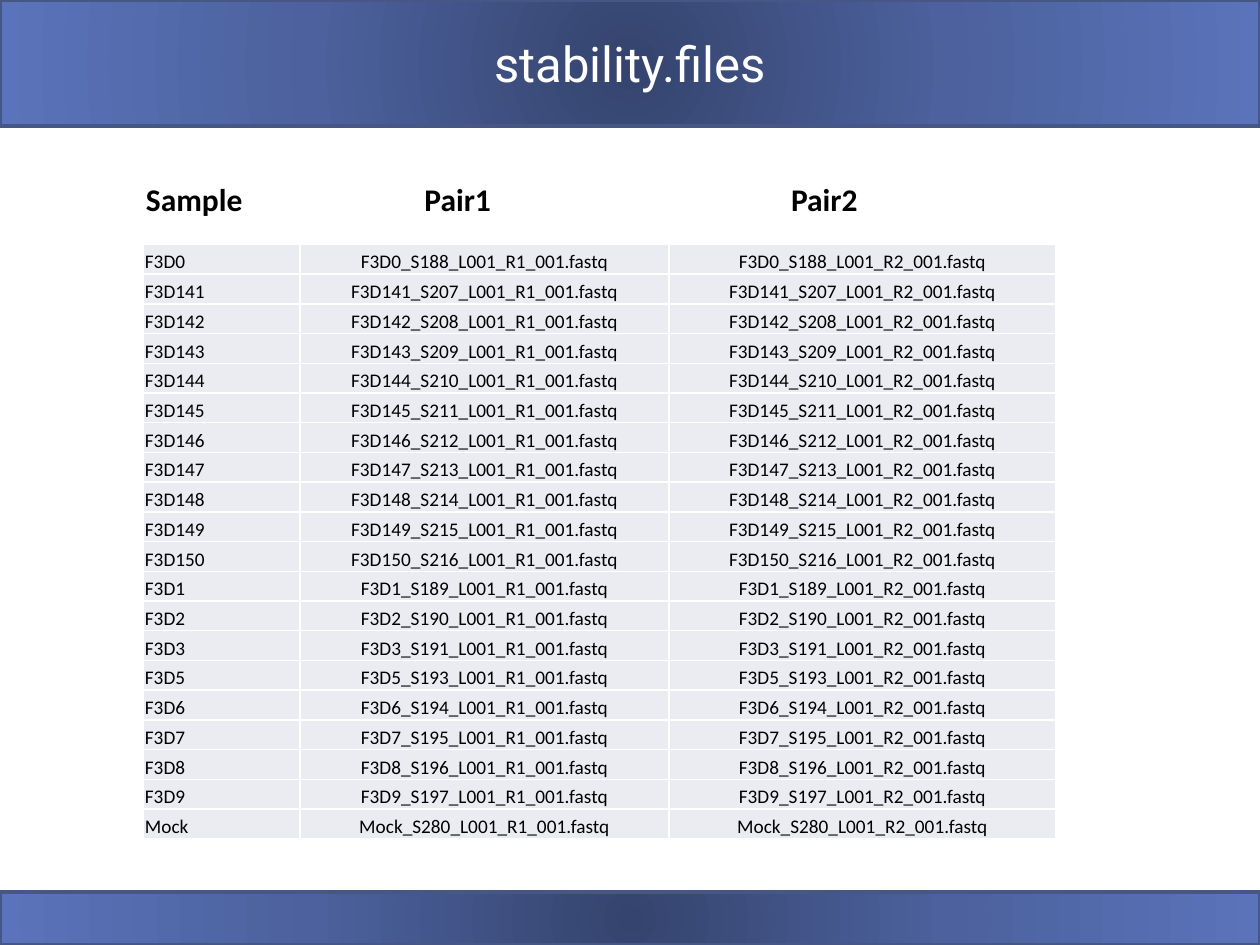
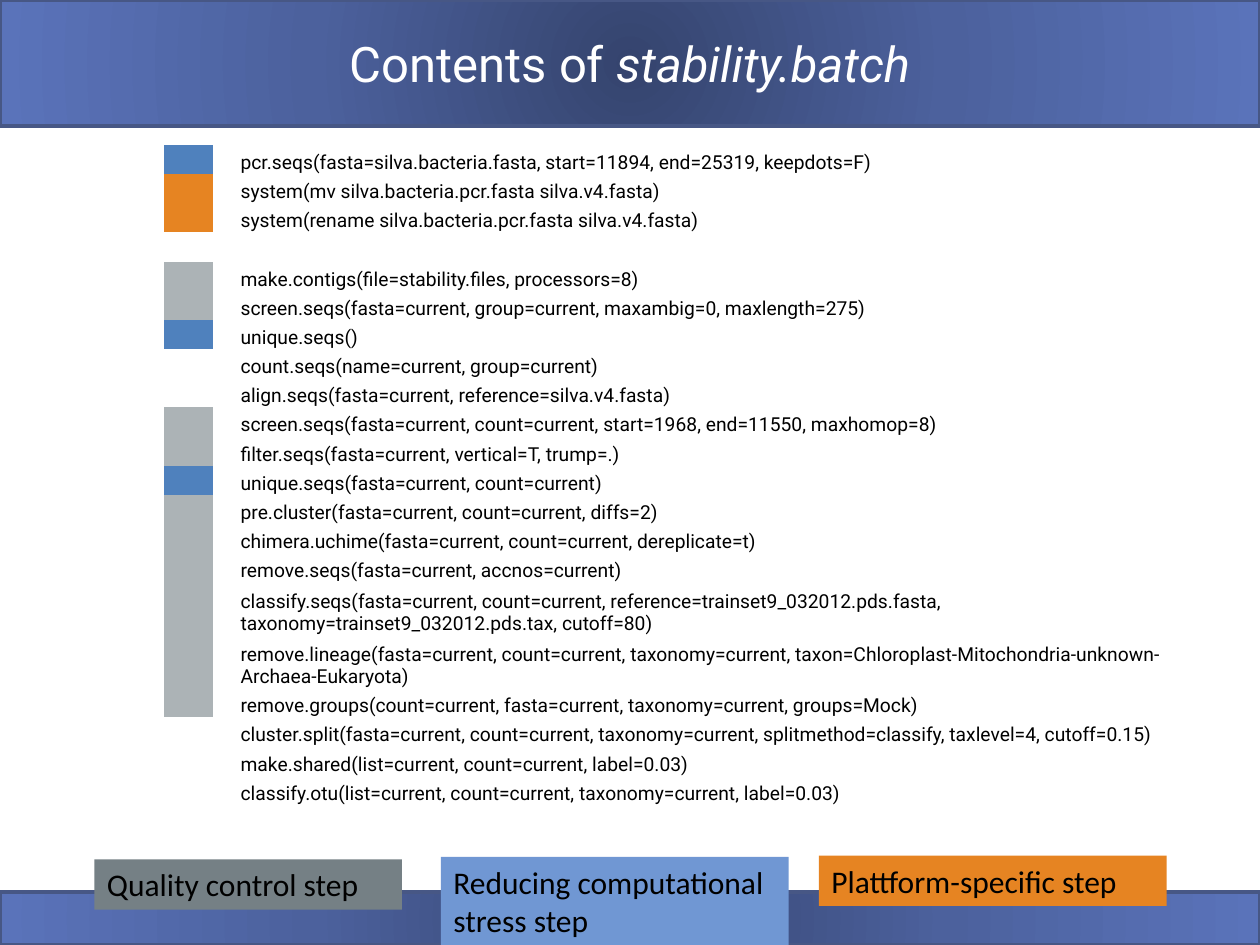
from lxml import etree
from pptx import Presentation
from pptx.dml.color import RGBColor
from pptx.enum.shapes import MSO_SHAPE
from pptx.enum.text import MSO_ANCHOR, MSO_AUTO_SIZE, PP_ALIGN
from pptx.oxml.ns import qn
from pptx.util import Inches, Pt

RECT = MSO_SHAPE.RECTANGLE
LEFT, CENTER = PP_ALIGN.LEFT, PP_ALIGN.CENTER
TOP, MIDDLE, BOTTOM = MSO_ANCHOR.TOP, MSO_ANCHOR.MIDDLE, MSO_ANCHOR.BOTTOM
GROW = MSO_AUTO_SIZE.SHAPE_TO_FIT_TEXT

COLUMNS, ROWS = 100, 75
UNIT = Inches(0.1)
PLAIN_TABLE = "{2D5ABB26-0587-4C30-8999-92F81FD0307C}"

WHITE, BLACK, PALE = "FFFFFF", "000000", "EAECF2"
BAND_STOPS = ((0, "35446E"), (50, "4C619D"), (100, "5A73BA"))
BAND_LINE = "475785"
BLUE, ORANGE, GRAY = "4F81BD", "E68422", "ACB3B6"
TITLE = {"size": Pt(28), "name": "Roboto"}
HEADING = {"size": Pt(18), "name": "Calibri", "bold": True}
LEGEND = {"size": Pt(18), "name": "Calibri"}
FILE_CELL = {"size": Pt(11), "name": "Calibri"}
COMMAND_CELL = {"size": Pt(11), "name": "Roboto"}

HEADINGS = (("Sample", -0.8), ("Pair1", 21.3), ("Pair2", 50.4))
LIBRARIES = (
    "F3D0_S188 F3D141_S207 F3D142_S208 F3D143_S209 F3D144_S210 "
    "F3D145_S211 F3D146_S212 F3D147_S213 F3D148_S214 F3D149_S215 "
    "F3D150_S216 F3D1_S189 F3D2_S190 F3D3_S191 F3D5_S193 F3D6_S194 "
    "F3D7_S195 F3D8_S196 F3D9_S197 Mock_S280"
).split()
COMMANDS = (
    (BLUE, "pcr.seqs(fasta=silva.bacteria.fasta, start=11894, end=25319, keepdots=F)"),
    (ORANGE, "system(mv silva.bacteria.pcr.fasta silva.v4.fasta)"),
    (ORANGE, "system(rename silva.bacteria.pcr.fasta silva.v4.fasta)"),
    (None, ""),
    (GRAY, "make.contigs(file=stability.files, processors=8)"),
    (GRAY, "screen.seqs(fasta=current, group=current, maxambig=0, maxlength=275)"),
    (BLUE, "unique.seqs()"),
    (None, "count.seqs(name=current, group=current)"),
    (None, "align.seqs(fasta=current, reference=silva.v4.fasta)"),
    (GRAY, "screen.seqs(fasta=current, count=current, start=1968, end=11550, maxhomop=8)"),
    (GRAY, "filter.seqs(fasta=current, vertical=T, trump=.)"),
    (BLUE, "unique.seqs(fasta=current, count=current)"),
    (GRAY, "pre.cluster(fasta=current, count=current, diffs=2)"),
    (GRAY, "chimera.uchime(fasta=current, count=current, dereplicate=t)"),
    (GRAY, "remove.seqs(fasta=current, accnos=current)"),
    (GRAY, "classify.seqs(fasta=current, count=current, reference=trainset9_032012.pds.fasta, "
           "taxonomy=trainset9_032012.pds.tax, cutoff=80)"),
    (GRAY, "remove.lineage(fasta=current, count=current, taxonomy=current, "
           "taxon=Chloroplast-Mitochondria-unknown-Archaea-Eukaryota)"),
    (GRAY, "remove.groups(count=current, fasta=current, taxonomy=current, groups=Mock)"),
    (None, "cluster.split(fasta=current, count=current, taxonomy=current, "
           "splitmethod=classify, taxlevel=4, cutoff=0.15)"),
    (None, "make.shared(list=current, count=current, label=0.03)"),
    (None, "classify.otu(list=current, count=current, taxonomy=current, label=0.03)"),
)
TWO_LINE_ROWS = (15, 16)
LEGEND_STEPS = (
    ("Quality control step", "758085", (7.5, 68.2, 24.4, 4)),
    ("Reducing computational stress step", "7097D3", (35, 68, 27.6, 7.1)),
    ("Plattform-specific step", ORANGE, (65, 67.9, 27.6, 4)),
)


def color(value):
    """Turn a hex string into a colour."""
    return RGBColor.from_string(value)


def grid(*lengths):
    """Turn grid lengths into slide lengths."""
    return [round(n * UNIT) for n in lengths]


def write(tf, runs, style, fill, align=LEFT, anchor=TOP):
    """Write (text, extra format) runs into the first paragraph."""
    tf.word_wrap = True
    tf.vertical_anchor = anchor
    p = tf.paragraphs[0]
    p.alignment = align
    for text, extra in runs:
        r = p.add_run()
        r.text = text
        r.font.color.rgb = color(fill)
        for key, value in {**style, **extra}.items():
            setattr(r.font, key, value)


def add_rect(s, box):
    """Add a rectangle without a shadow."""
    sp = s.shapes.add_shape(RECT, *grid(*box))
    sp.shadow.inherit = False
    return sp


def add_band(s, box):
    """Add a band that darkens towards its centre."""
    sp = add_rect(s, box)
    sp.line.color.rgb = color(BAND_LINE)
    sp.line.width = Pt(2)
    grad = etree.Element(qn("a:gradFill"), rotWithShape="1")
    stops = etree.SubElement(grad, qn("a:gsLst"))
    for position, value in BAND_STOPS:
        stop = etree.SubElement(stops, qn("a:gs"), pos=str(position * 1000))
        etree.SubElement(stop, qn("a:srgbClr"), val=value)
    shade = etree.SubElement(grad, qn("a:path"), path="circle")
    etree.SubElement(shade, qn("a:fillToRect"), dict.fromkeys("ltrb", "50000"))
    sp.fill.background()
    sp._element.spPr.replace(sp._element.spPr.find(qn("a:noFill")), grad)


def add_framed_slide(prs, title):
    """Add a blank slide with both bands and a title."""
    s = prs.slides.add_slide(prs.slide_layouts[6])
    add_band(s, (0, 0, COLUMNS, 10))
    add_band(s, (0, 70.8, COLUMNS, 4.2))
    sp = s.shapes.add_textbox(*grid(10, 0, 80, 10))
    write(sp.text_frame, title, TITLE, WHITE, CENTER, MIDDLE)
    return s


def add_plain_table(s, box, widths, heights):
    """Add an unstyled table with the given column widths and row heights."""
    frame = s.shapes.add_table(len(heights), len(widths), *grid(*box))
    table = frame.table
    table.first_row = table.horz_banding = False
    table._tbl.tblPr.find(qn("a:tableStyleId")).text = PLAIN_TABLE
    for column, width in zip(table.columns, grid(*widths)):
        column.width = width
    for row, height in zip(table.rows, grid(*heights)):
        row.height = height
    return table


def fill_cell(cell, text, style, fill=None, align=LEFT, border=None):
    """Set the text, fill and border of a cell."""
    margins = {"left": 0.01, "right": 0.01, "top": 0.01, "bottom": 0}
    for side, value in margins.items():
        setattr(cell, f"margin_{side}", Inches(value))
    cell.vertical_anchor = BOTTOM
    if border:
        for side in "LRTB":
            ln = etree.SubElement(cell._tc.get_or_add_tcPr(), qn(f"a:ln{side}"), w=str(Pt(1)))
            solid = etree.SubElement(ln, qn("a:solidFill"))
            etree.SubElement(solid, qn("a:srgbClr"), val=border)
    if fill:
        cell.fill.solid()
        cell.fill.fore_color.rgb = color(fill)
    if text:
        write(cell.text_frame, [(text, {})], style, BLACK, align, BOTTOM)
    else:
        p = cell.text_frame.paragraphs[0]._p
        etree.SubElement(p, qn("a:endParaRPr"), sz=str(round(style["size"].pt * 100)))


def add_file_table(s, box):
    """Add the paired files of each sample, with headings above."""
    left, top, _, height = box
    count = len(LIBRARIES)
    table = add_plain_table(s, box, (12.4, 29.3, 30.7), [height / count] * count)
    for i, library in enumerate(LIBRARIES):
        pair = [f"{library}_L001_R{n}_001.fastq" for n in (1, 2)]
        for j, text in enumerate([library.split("_")[0], *pair]):
            fill_cell(table.cell(i, j), text, FILE_CELL, PALE, CENTER if j else LEFT, WHITE)
    for text, offset in HEADINGS:
        sp = s.shapes.add_textbox(*grid(left + offset, top - 5.6, 14.2, 4))
        write(sp.text_frame, [(text, {})], HEADING, BLACK)
        sp.text_frame.auto_size = GROW


def add_command_table(s, box):
    """Add the batch commands, each with the colour of its kind of step."""
    tall = 4.2
    short = (box[3] - tall * len(TWO_LINE_ROWS)) / (len(COMMANDS) - len(TWO_LINE_ROWS))
    heights = [tall if i in TWO_LINE_ROWS else short for i in range(len(COMMANDS))]
    table = add_plain_table(s, box, (3.9, 2.1, 74.1), heights)
    for i, (fill, command) in enumerate(COMMANDS):
        for j, (text, shade) in enumerate((("", fill), ("", None), (command, None))):
            fill_cell(table.cell(i, j), text, COMMAND_CELL, shade)


def add_legend(s):
    """Add the labels for the kinds of step."""
    for text, fill, box in LEGEND_STEPS:
        sp = add_rect(s, box)
        sp.fill.solid()
        sp.fill.fore_color.rgb = color(fill)
        sp.line.fill.background()
        write(sp.text_frame, [(text, {})], LEGEND, BLACK)
        sp.text_frame.auto_size = GROW


def main():
    """Build and save the slides."""
    prs = Presentation()
    prs.slide_width, prs.slide_height = grid(COLUMNS, ROWS)
    s = add_framed_slide(prs, [("stability.files", {})])
    add_file_table(s, (11.4, 19.4, 72.4, 47.2))
    s = add_framed_slide(prs, [("Contents of ", {}), ("stability.batch", {"italic": True})])
    add_command_table(s, (13, 11.5, 80.1, 52.4))
    add_legend(s)
    prs.save("out.pptx")


if __name__ == "__main__":
    main()
